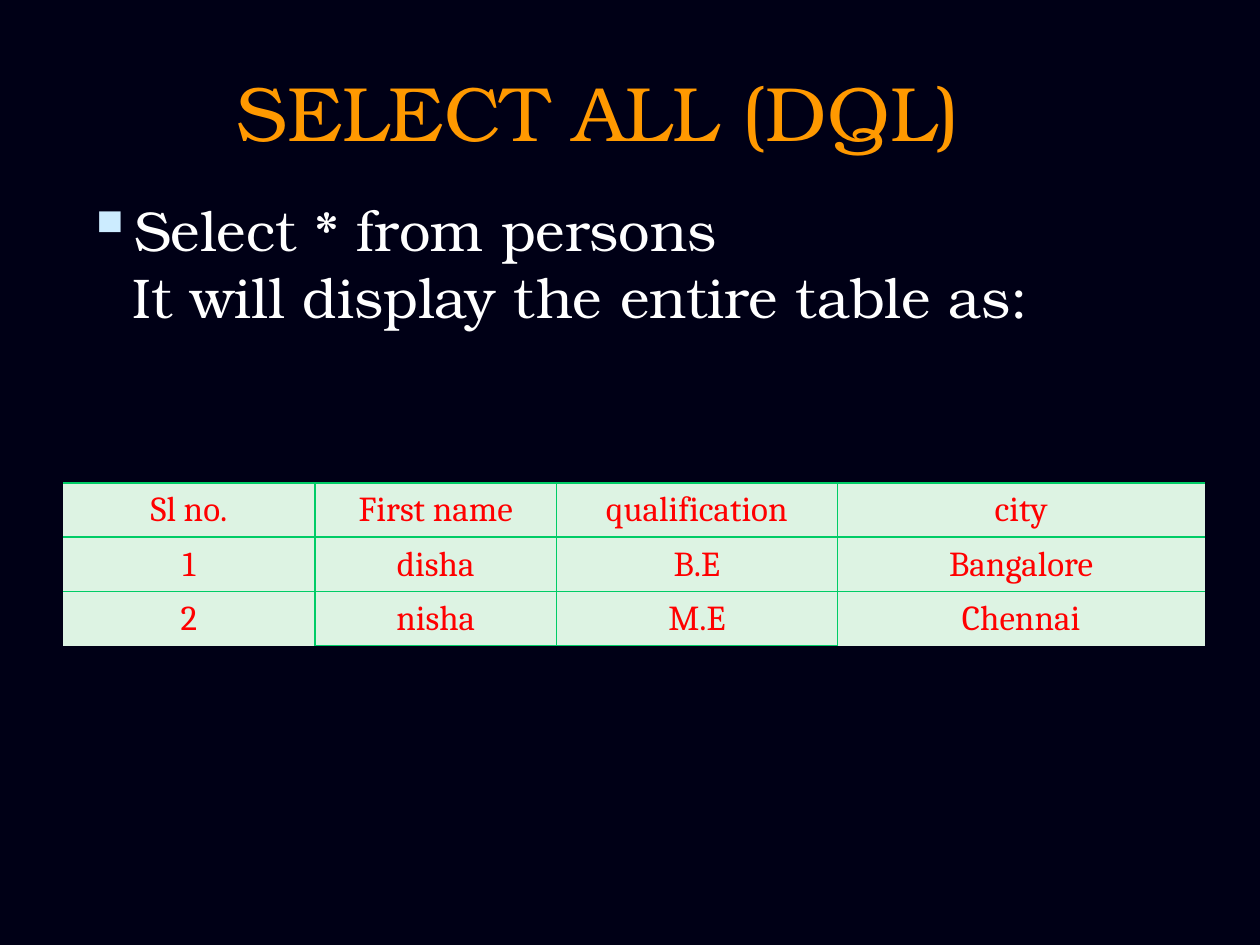
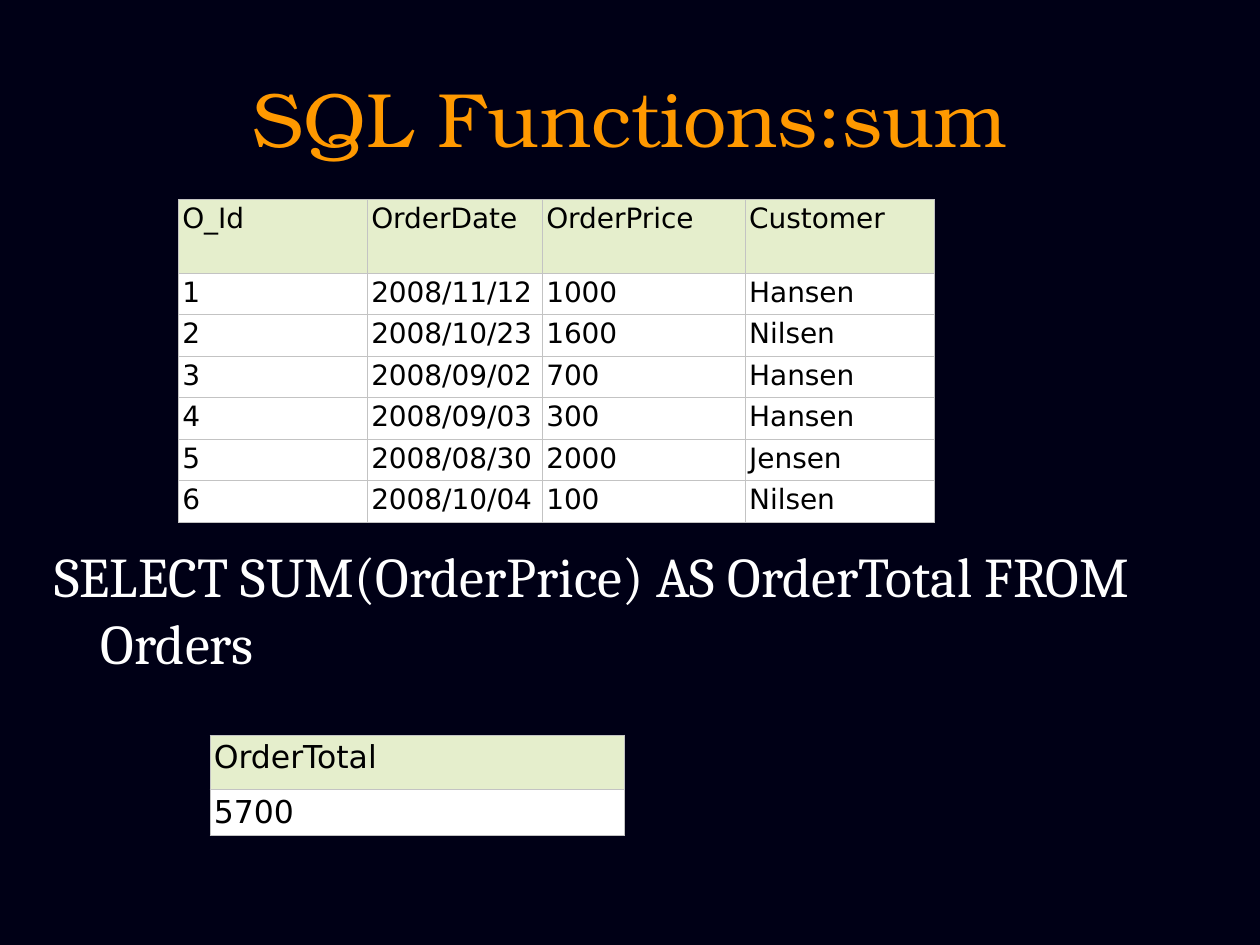
from lxml import etree
from pptx import Presentation
from pptx.dml.color import RGBColor
from pptx.enum.text import MSO_ANCHOR, MSO_AUTO_SIZE, PP_ALIGN
from pptx.oxml.ns import qn
from pptx.util import Inches, Pt

LEFT, CENTER = PP_ALIGN.LEFT, PP_ALIGN.CENTER
TOP, MIDDLE = MSO_ANCHOR.TOP, MSO_ANCHOR.MIDDLE
NO_AUTOFIT = MSO_AUTO_SIZE.NONE

COLORS = {
    "background": "000016", "title": "FF9900", "body": "FFFFFF", "bullet": "CCECFF",
    "person_text": "FF0000", "person_fill": "DDF3E3", "person_line": "00CC66",
    "order_text": "000000", "order_head": "E5EECC", "order_fill": "FFFFFF",
    "order_line": "C3C3C3",
}
TITLE_FONT, BODY_FONT, ORDER_FONT = "TeX Gyre Bonum", "Cambria", "DejaVu Sans"
SLIDE_WIDTH, SLIDE_HEIGHT = Inches(10), Inches(7.5)
COLUMNS = 120
UNIT = SLIDE_WIDTH / COLUMNS  # square grid: 120 columns by 90 rows
HANGING_INDENT = Inches(0.37)
SIDES = "LRTB"

PERSONS = [
    ("Sl no.", "First name", "qualification", "city"),
    ("1", "disha", "B.E", "Bangalore"),
    ("2", "nisha", "M.E", "Chennai"),
]
ORDERS = [
    ("O_Id", "OrderDate", "OrderPrice", "Customer"),
    ("1", "2008/11/12", "1000", "Hansen"),
    ("2", "2008/10/23", "1600", "Nilsen"),
    ("3", "2008/09/02", "700", "Hansen"),
    ("4", "2008/09/03", "300", "Hansen"),
    ("5", "2008/08/30", "2000", "Jensen"),
    ("6", "2008/10/04", "100", "Nilsen"),
]
ORDER_TOTAL = [("OrderTotal",), ("5700",)]


def grid(*steps):
    return [round(step * UNIT) for step in steps]


def color(name):
    return RGBColor.from_string(COLORS[name])


def set_font(paragraph, name, size, color_name):
    paragraph.font.name = name
    paragraph.font.size = Pt(size)
    paragraph.font.color.rgb = color(color_name)


def add_titled_slide(presentation, title, box):
    slide = presentation.slides.add_slide(presentation.slide_layouts[5])
    shape = slide.shapes.title
    shape.left, shape.top, shape.width, shape.height = grid(*box)
    frame = shape.text_frame
    frame.text = title
    frame.word_wrap = True
    frame.auto_size = NO_AUTOFIT
    frame.vertical_anchor = MIDDLE
    paragraph = frame.paragraphs[0]
    paragraph.alignment = CENTER
    set_font(paragraph, TITLE_FONT, 44, "title")
    return slide


def add_bullet(properties):
    bullet_color = etree.SubElement(properties, qn("a:buClr"))
    etree.SubElement(bullet_color, qn("a:srgbClr"), val=COLORS["bullet"])
    etree.SubElement(properties, qn("a:buSzPct"), val="115000")
    etree.SubElement(properties, qn("a:buChar"), char="▪")


def add_body(slide, box, text, font_name, bulleted=False):
    frame = slide.shapes.add_textbox(*grid(*box)).text_frame
    frame.word_wrap = True
    frame.text = text
    paragraph = frame.paragraphs[0]
    properties = paragraph._p.get_or_add_pPr()
    properties.set("marL", str(HANGING_INDENT))
    properties.set("indent", str(-HANGING_INDENT))
    if bulleted:
        add_bullet(properties)
    set_font(paragraph, font_name, 32, "body")


def set_border(cell, side, color_name, width):
    """Draw one side of a cell, or hide it when color_name is None."""
    line = etree.Element(qn(f"a:ln{side}"), w=str(Pt(width)))
    if color_name:
        fill = etree.SubElement(line, qn("a:solidFill"))
        etree.SubElement(fill, qn("a:srgbClr"), val=COLORS[color_name])
    else:
        etree.SubElement(line, qn("a:noFill"))
    cell._tc.get_or_add_tcPr().insert(SIDES.index(side), line)


def add_grid_table(slide, corner, widths, heights, records, style_cell):
    """Add a table whose cells are finished by style_cell(cell, row, column)."""
    left, top, width, height = grid(*corner, sum(widths), sum(heights))
    table = slide.shapes.add_table(
        len(heights), len(widths), left, top, width, height).table
    table.first_row = table.horz_banding = False
    for column, column_width in zip(table.columns, grid(*widths)):
        column.width = column_width
    for row, row_height in zip(table.rows, grid(*heights)):
        row.height = row_height
    for row_index, record in enumerate(records):
        for column_index, value in enumerate(record):
            cell = table.cell(row_index, column_index)
            cell.text = value
            style_cell(cell, row_index, column_index)


def format_cell(cell, fill, margins, alignment, line_spacing, font):
    cell.fill.solid()
    cell.fill.fore_color.rgb = color(fill)
    cell.vertical_anchor = TOP
    (cell.margin_left, cell.margin_top,
     cell.margin_right, cell.margin_bottom) = map(Inches, margins)
    paragraph = cell.text_frame.paragraphs[0]
    paragraph.alignment = alignment
    paragraph.line_spacing = line_spacing
    set_font(paragraph, *font)


def style_person_cell(cell, row, column):
    """Leave the table's outer sides and its bottom corners open."""
    last_row, last_column = len(PERSONS) - 1, len(PERSONS[0]) - 1
    format_cell(cell, "person_fill", (0.1, 0.07, 0.1, 0.05), CENTER, 0.93,
                (BODY_FONT, 20, "person_text"))
    open_sides = {
        "L": column == 0,
        "R": column == last_column,
        "T": False,
        "B": row == last_row and column in (0, last_column),
    }
    for side, is_open in open_sides.items():
        set_border(cell, side, None if is_open else "person_line", 1)


def order_cell_style(size, top_margin):
    def style_cell(cell, row, column):
        fill = "order_fill" if row else "order_head"
        format_cell(cell, fill, (0.03, top_margin, 0.03, 0.03), LEFT, 0.94,
                    (ORDER_FONT, size, "order_text"))
        for side in SIDES:
            set_border(cell, side, "order_line", 0.34)
    return style_cell


def build_select_all(presentation):
    slide = add_titled_slide(presentation, "SELECT ALL (DQL)", (3, 3, 108, 15))
    add_body(slide, (7, 18, 108, 25),
             "Select * from persons\vIt will display the entire table as:",
             TITLE_FONT, bulleted=True)
    add_grid_table(slide, (6, 46), (24, 23, 26.75, 35), [5.1] * len(PERSONS),
                   PERSONS, style_person_cell)


def build_sum_function(presentation):
    slide = add_titled_slide(presentation, "SQL Functions:sum", (6, 3.6, 108, 15))
    add_body(slide, (4, 51, 108, 14),
             "SELECT SUM(OrderPrice) AS OrderTotal FROM Orders", BODY_FONT)
    add_grid_table(slide, (17, 19), (18, 16.67, 19.33, 18),
                   [7] + [3.95] * (len(ORDERS) - 1), ORDERS,
                   order_cell_style(16, 0.04))
    add_grid_table(slide, (20, 70), (39.5,), (5.2, 4.2), ORDER_TOTAL,
                   order_cell_style(18, 0.05))


def main():
    presentation = Presentation()
    presentation.slide_width, presentation.slide_height = SLIDE_WIDTH, SLIDE_HEIGHT
    background = presentation.slide_master.background.fill
    background.solid()
    background.fore_color.rgb = color("background")
    build_select_all(presentation)
    build_sum_function(presentation)
    presentation.save("out.pptx")


if __name__ == "__main__":
    main()
